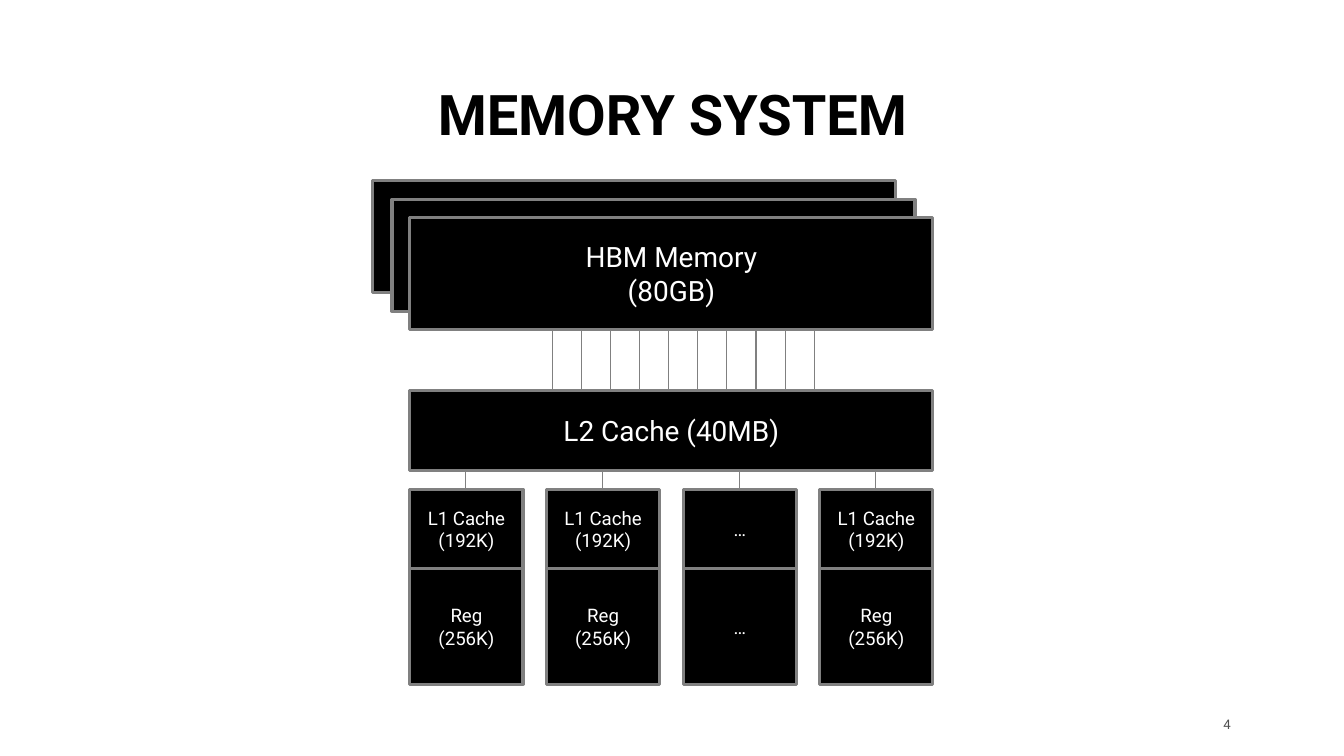
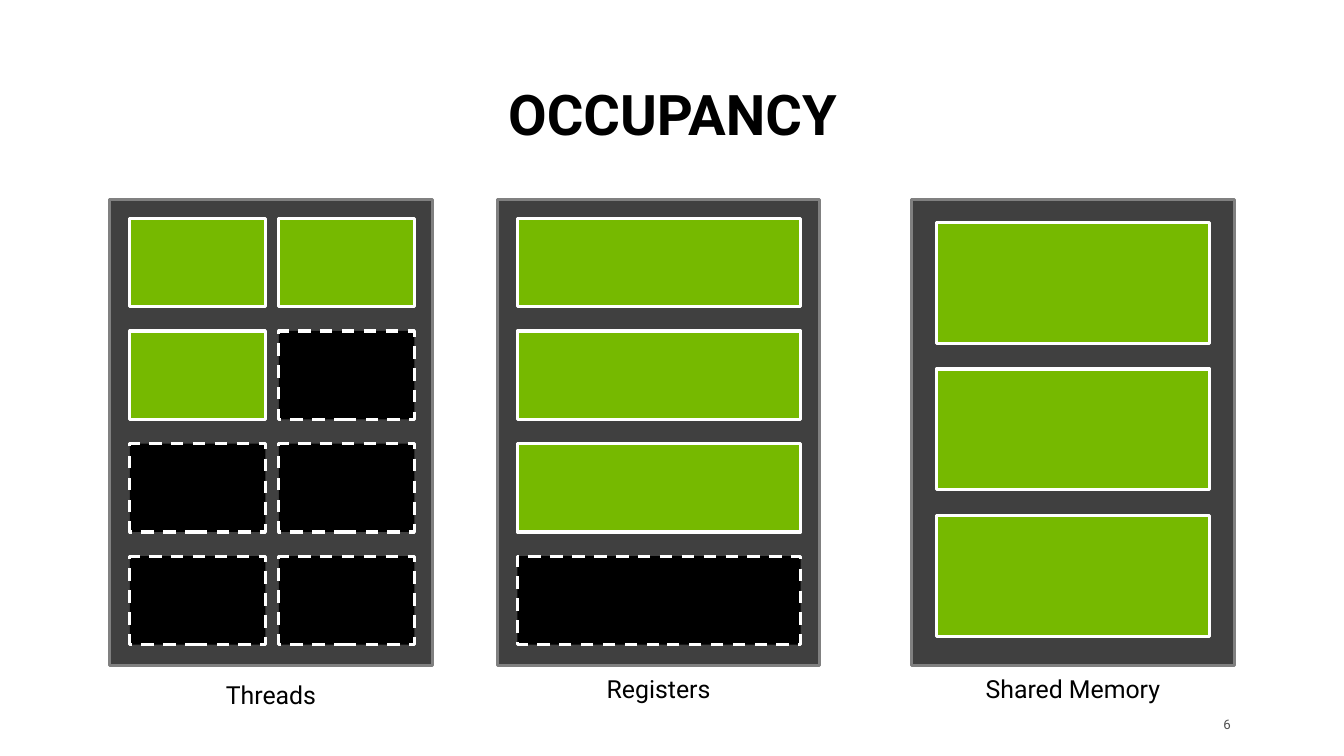
"""Build two slides on GPU memory levels and occupancy."""
from dataclasses import dataclass

from lxml.etree import SubElement
from pptx import Presentation
from pptx.dml.color import RGBColor
from pptx.enum.dml import MSO_LINE
from pptx.enum.shapes import MSO_CONNECTOR, MSO_SHAPE
from pptx.enum.text import MSO_ANCHOR, MSO_AUTO_SIZE, PP_ALIGN
from pptx.oxml.ns import qn
from pptx.util import Inches, Pt


@dataclass(frozen=True)
class Theme:
    font: str = "Roboto"
    black: RGBColor = RGBColor(0, 0, 0)
    white: RGBColor = RGBColor(255, 255, 255)
    green: RGBColor = RGBColor(0x76, 0xB9, 0x00)
    panel: RGBColor = RGBColor(0x40, 0x40, 0x40)
    outline: RGBColor = RGBColor(0x80, 0x80, 0x80)
    number: RGBColor = RGBColor(0x50, 0x50, 0x50)
    title_size: float = 36
    block_size: float = 18
    caption_size: float = 16
    cell_size: float = 12
    number_size: float = 8.5
    border: float = 2
    wire: float = 0.75


theme = Theme()


def write_text(frame, lines, size, color, align=PP_ALIGN.CENTER):
    frame.word_wrap = True
    for index, line in enumerate(lines):
        paragraph = frame.paragraphs[0] if index == 0 else frame.add_paragraph()
        paragraph.text = line
        paragraph.alignment = align
        paragraph.font.name = theme.font
        paragraph.font.size = Pt(size)
        paragraph.font.color.rgb = color


def add_box(slide, bounds, fill, border, lines=(), size=theme.cell_size):
    shape = slide.shapes.add_shape(MSO_SHAPE.RECTANGLE, *map(Inches, bounds))
    shape.shadow.inherit = False
    shape.fill.solid()
    shape.fill.fore_color.rgb = fill
    shape.line.color.rgb = border
    shape.line.width = Pt(theme.border)
    shape.text_frame.vertical_anchor = MSO_ANCHOR.MIDDLE
    write_text(shape.text_frame, lines, size, theme.white)
    return shape


presentation = Presentation()
presentation.slide_width = Inches(12)
presentation.slide_height = Inches(6.75)

slides = []
for heading, number in (("MEMORY SYSTEM", "4"), ("OCCUPANCY", "6")):
    slide = presentation.slides.add_slide(presentation.slide_layouts[5])
    title = slide.shapes.title
    title.left, title.top = Inches(0.55), Inches(0.72)
    title.width, title.height = Inches(10.91), Inches(0.65)
    title.text_frame.auto_size = MSO_AUTO_SIZE.NONE
    title.text_frame.vertical_anchor = MSO_ANCHOR.BOTTOM
    write_text(title.text_frame, [heading], theme.title_size, theme.black)
    title.text_frame.paragraphs[0].font.bold = True
    title.text_frame.paragraphs[0].line_spacing = 0.9

    page = slide.shapes.add_textbox(
        Inches(10.68), Inches(6.38), Inches(0.35), Inches(0.18))
    frame = page.text_frame
    frame.margin_left = frame.margin_top = frame.margin_bottom = 0
    frame.margin_right = Inches(0.04)
    frame.vertical_anchor = MSO_ANCHOR.MIDDLE
    write_text(frame, [number], theme.number_size, theme.number, PP_ALIGN.RIGHT)
    slides.append(slide)

memory_slide, occupancy_slide = slides

block_left, block_width = 3.66, 4.67
for left, top, lines in ((3.33, 1.61, ()), (3.5, 1.78, ()),
                         (block_left, 1.94, ("HBM Memory", "(80GB)"))):
    add_box(memory_slide, (left, top, block_width, 1), theme.black,
            theme.outline, lines, theme.block_size)
add_box(memory_slide, (block_left, 3.49, block_width, 0.71), theme.black,
        theme.outline, ["L2 Cache (40MB)"], theme.block_size)

core_width, core_pitch = 1.01, 1.22
cache_text, register_text = ("L1 Cache", "(192K)"), ("Reg", "(256K)")
cores = [(cache_text, register_text)] * 4
cores[2] = (["…"], ["…"])
for column, (cache, register) in enumerate(cores):
    left = block_left + column * core_pitch
    for top, height, lines in ((4.37, 0.71, cache), (5.08, 1.03, register)):
        add_box(memory_slide, (left, top, core_width, height), theme.black,
                theme.outline, lines)

wires = [(4.93 + 0.26 * index, 2.94, 3.48) for index in range(10)]
wires += [(4.16 + core_pitch * index, 4.21, 4.37) for index in range(4)]
for x, top, bottom in wires:
    wire = memory_slide.shapes.add_connector(
        MSO_CONNECTOR.STRAIGHT, Inches(x), Inches(top), Inches(x), Inches(bottom))
    wire.line.color.rgb = theme.outline
    wire.line.width = Pt(theme.wire)
    SubElement(wire._element.spPr, qn("a:effectLst"))

panels = (
    ("Threads", 0.98, 6.02, 0.18, 1.95, 2, (1.21, 0.79), (1.33, 1.005), 8),
    ("Registers", 4.44, 5.97, 0.18, 1.95, 1, (2.53, 0.79), (0, 1.005), 4),
    ("Shared Memory", 8.14, 5.97, 0.22, 1.99, 1, (2.44, 1.08), (0, 1.305), 3),
)
used_slots = 3
for name, left, caption_top, inset, top, columns, size, pitch, count in panels:
    add_box(occupancy_slide, (left, 1.78, 2.88, 4.16), theme.panel, theme.outline)
    caption = occupancy_slide.shapes.add_textbox(
        Inches(left), Inches(caption_top), Inches(2.88), Inches(0.37))
    write_text(caption.text_frame, [name], theme.caption_size, theme.black)
    for index in range(count):
        row, column = divmod(index, columns)
        used = index < used_slots
        slot = add_box(
            occupancy_slide,
            (left + inset + column * pitch[0], top + row * pitch[1], *size),
            theme.green if used else theme.black, theme.white)
        if not used:
            slot.line.dash_style = MSO_LINE.DASH

presentation.save("out.pptx")
